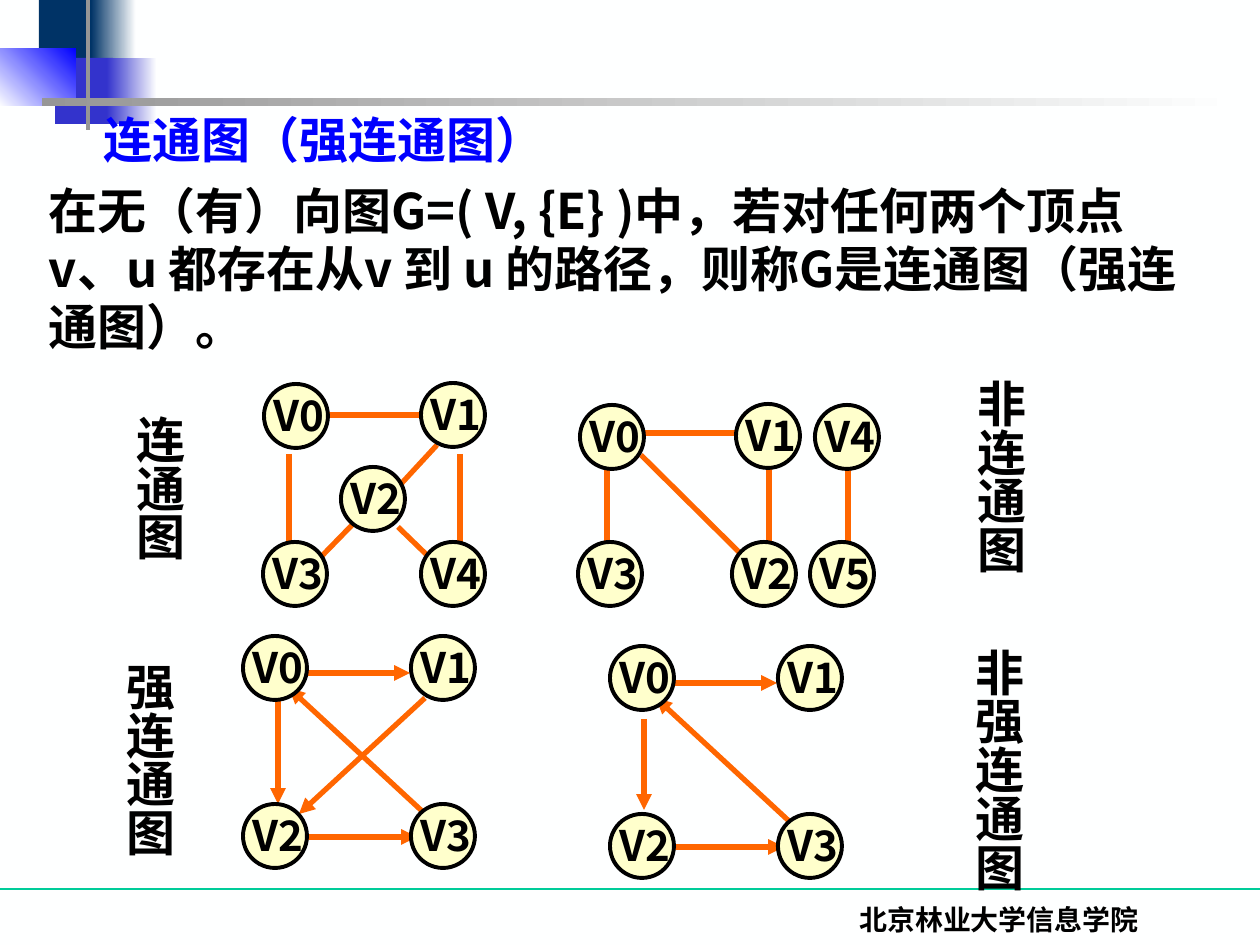
from lxml.etree import SubElement
from pptx import Presentation
from pptx.dml.color import RGBColor
from pptx.enum.shapes import MSO_CONNECTOR, MSO_SHAPE
from pptx.enum.text import MSO_ANCHOR, PP_ALIGN
from pptx.oxml.ns import qn
from pptx.util import Pt

SCALE = 914400 / 126
CJK = "Noto Sans CJK SC"
PAPER, INK, ORANGE = "FEFFFF", "000000", "FF6600"
SIDE = 64   # node diameter
STEP = 168  # node pitch in the directed graphs

# Each graph: nodes as name, left, top; edges as x1, y1, x2, y2
LINKED = (
    [("V0", 264, 384), ("V1", 421, 383), ("V2", 341, 467),
     ("V3", 263, 542), ("V4", 421, 542)],
    [(289, 454, 289, 544), (326, 415, 430, 415), (460, 454, 460, 544),
     (355, 522, 319, 559), (437, 445, 401, 484), (398, 527, 430, 558)],
)
SPLIT = (
    [("V0", 580, 405), ("V1", 736, 404), ("V2", 732, 542),
     ("V3", 578, 542), ("V4", 815, 405), ("V5", 810, 542)],
    [(641, 455, 745, 558), (607, 467, 607, 548), (643, 433, 741, 433),
     (769, 467, 769, 548), (848, 462, 848, 543)],
)
# Edges shared by both directed graphs, measured from the first node
CYCLE = [(63, 201, 174, 201), (63, 37, 167, 37), (193, 188, 46, 52)]

# Text, box, space above the text
LABELS = [
    ("非连通图", (953, 331, 83, 273), 48),
    ("连通图", (112, 341, 83, 273), 74),
    ("强连通图", (102, 615, 83, 273), 47),
    ("非强连通图", (951, 604, 83, 315), 44),
]
# Box, start colour, end colour (None when solid), angle
BARS = [
    ((39, 0, 60, 66), "003366", None, 0),
    ((91, 0, 45, 66), "003366", PAPER, 0),
    ((55, 58, 58, 66), "3333CC", None, 0),
    ((107, 58, 50, 66), "3333CC", PAPER, 0),
    ((-1, 48, 77, 58), PAPER, "0000FF", 45),
    ((86, -15, 4, 145), "969696", None, 0),
    ((42, 98, 1198, 8), "969696", PAPER, 0),
]


def px(*vals):
    return [round(v * SCALE) for v in vals]


def rgb(code):
    return RGBColor.from_string(code)


def apply(item, **vals):
    for key, val in vals.items():
        setattr(item, key, val)


def write(frame, text, size, color=INK, face=CJK, inset=(13, 6, 13, 6),
          wrap=True, lead=None, align=PP_ALIGN.LEFT):
    """Fill a text frame; inset is left, top, right, bottom."""
    sides = ("margin_left", "margin_top", "margin_right", "margin_bottom")
    apply(frame, word_wrap=wrap, **dict(zip(sides, px(*inset))))
    para = frame.paragraphs[0]
    para.alignment = align
    if lead:
        para.line_spacing = Pt(lead)
    run = para.add_run()
    run.text = text
    apply(run.font, size=Pt(size), bold=True, name=face)
    run.font.color.rgb = rgb(color)
    SubElement(run.font._element, qn("a:ea"), typeface=CJK)


def text(slide, box, words, size, **style):
    shape = slide.shapes.add_textbox(*px(*box))
    write(shape.text_frame, words, size, **style)
    return shape


def label(slide, words, box, top):
    """Add a label that reads from top to bottom."""
    shape = text(slide, box, words, 28, inset=(6, top, 6, 13))
    shape.text_frame._txBody.bodyPr.set("vert", "eaVert")


def bar(slide, box, start, end, angle):
    shape = slide.shapes.add_shape(MSO_SHAPE.RECTANGLE, *px(*box))
    shape.shadow.inherit = False
    shape.line.fill.background()
    if end is None:
        shape.fill.solid()
        shape.fill.fore_color.rgb = rgb(start)
        return
    shape.fill.gradient()
    shape.fill.gradient_angle = angle
    for stop, code in zip(shape.fill.gradient_stops, (start, end)):
        stop.color.rgb = rgb(code)


def edge(slide, ends, arrow=False, color=ORANGE, width=3):
    line = slide.shapes.add_connector(MSO_CONNECTOR.STRAIGHT, *px(*ends))
    line.line.color.rgb = rgb(color)
    line.line.width = Pt(width)
    if arrow:
        SubElement(line.line._get_or_add_ln(), qn("a:tailEnd"), type="triangle")
    SubElement(line._element.spPr, qn("a:effectLst"))


def node(slide, name, left, top):
    shape = slide.shapes.add_shape(MSO_SHAPE.OVAL, *px(left, top, SIDE, SIDE))
    shape.shadow.inherit = False
    shape.fill.solid()
    shape.fill.fore_color.rgb = rgb("FFFFCC")
    shape.line.color.rgb = rgb(INK)
    shape.line.width = Pt(2.25)
    shape.text_frame.vertical_anchor = MSO_ANCHOR.MIDDLE
    write(shape.text_frame, name, 24, inset=(5, 0, 0, 3), wrap=False,
          align=PP_ALIGN.CENTER)


def graph(slide, nodes, edges, arrow=False):
    for ends in edges:
        edge(slide, ends, arrow)
    for item in nodes:
        node(slide, *item)


def square(slide, left, top, extra):
    """Add a directed graph of four nodes, with its own extra edges."""
    nodes = [(f"V{i}", left + i % 2 * STEP, top + i // 2 * STEP)
             for i in range(4)]
    edges = [(left + a, top + b, left + c, top + d)
             for a, b, c, d in CYCLE + extra]
    graph(slide, nodes, edges, True)


def main():
    deck = Presentation()
    apply(deck, **dict(zip(("slide_width", "slide_height"), px(1260, 945))))
    slide = deck.slides.add_slide(deck.slide_layouts[6])
    slide.background.fill.solid()
    slide.background.fill.fore_color.rgb = rgb(PAPER)

    edge(slide, (0, 889, 1260, 889), color="00CC99", width=0.75)
    for item in BARS:
        bar(slide, *item)
    text(slide, (738, 896, 522, 63), "北京林业大学信息学院", 16,
         face="Times New Roman", inset=(13, 7, 13, 6), lead=19,
         align=PP_ALIGN.CENTER)
    for item in LABELS:
        label(slide, *item)

    square(slide, 610, 646, [(34, 73, 34, 164)])
    graph(slide, *LINKED)
    square(slide, 243, 636, [(35, 62, 35, 168), (182, 62, 56, 178)])
    graph(slide, *SPLIT)

    body = {"inset": (13, 8, 0, 6), "lead": 33}
    text(slide, (91, 103, 465, 72), "连通图（强连通图）", 28,
         color="0000FF", face="DejaVu Sans", **body)
    text(slide, (36, 174, 1144, 189),
         "在无（有）向图G=( V, {E} )中，若对任何两个顶点 v、u 都存在从v 到 u "
         "的路径，则称G是连通图（强连通图）。", 28, **body)
    deck.save("out.pptx")


if __name__ == "__main__":
    main()
